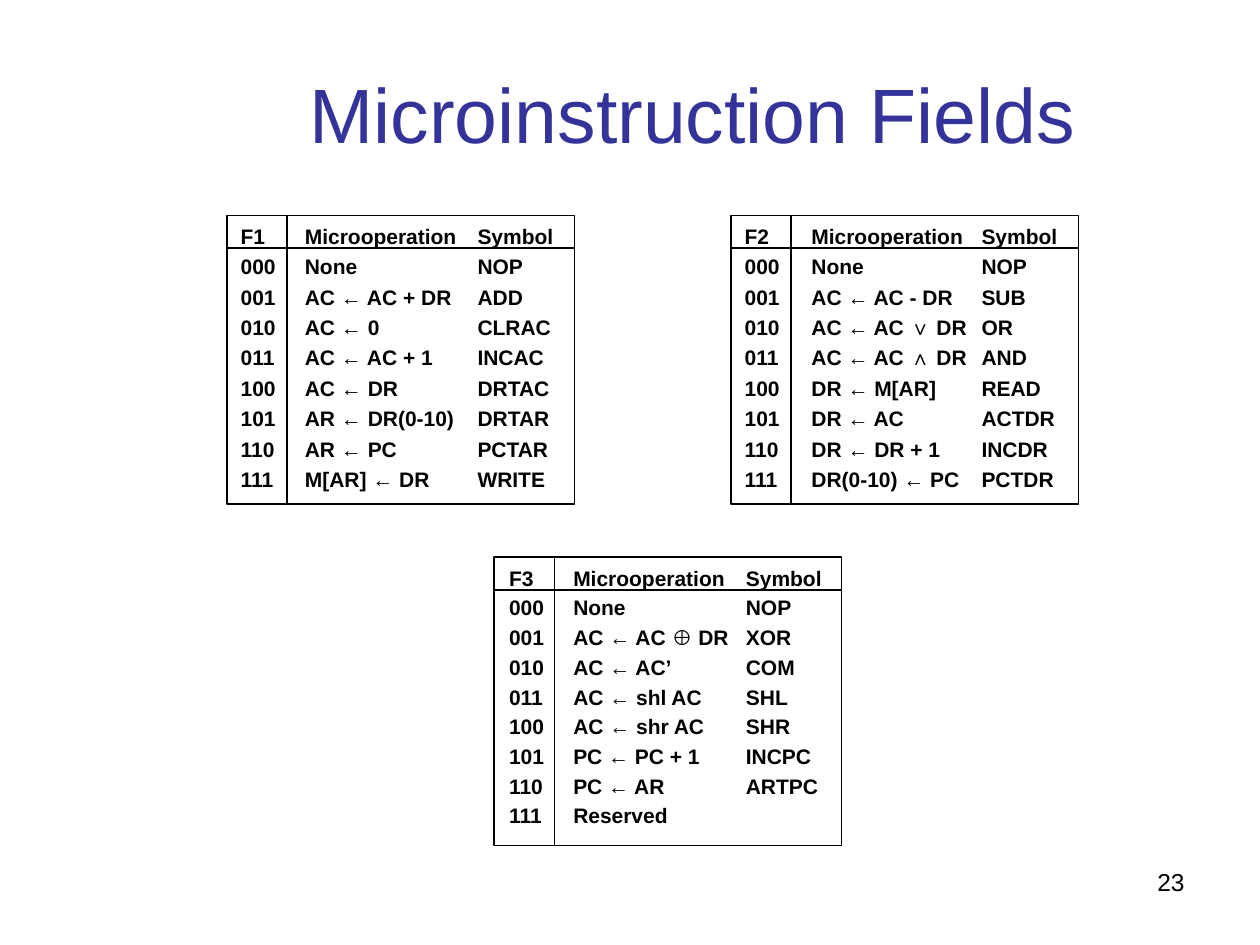
from lxml import etree
from pptx import Presentation
from pptx.dml.color import RGBColor
from pptx.enum.shapes import MSO_CONNECTOR, MSO_SHAPE
from pptx.enum.text import MSO_ANCHOR, PP_ALIGN
from pptx.oxml.ns import qn
from pptx.util import Inches, Pt

LEFT, CENTER, RIGHT = PP_ALIGN.LEFT, PP_ALIGN.CENTER, PP_ALIGN.RIGHT
TOP, MIDDLE = MSO_ANCHOR.TOP, MSO_ANCHOR.MIDDLE
RECTANGLE, STRAIGHT = MSO_SHAPE.RECTANGLE, MSO_CONNECTOR.STRAIGHT

TITLE = "Microinstruction Fields"
PAGE_NUMBER = "23"
BLACK, BLUE = "000000", "333399"

FIELDS = [
    {
        "name": "F1", "left": 1.8, "top": 1.71, "text_at": (1.84, 1.7, 3, 2.23),
        "tabs": (0.51, 1.88), "spacing": 1.21,
        "operations": [
            ("None", "NOP"), ("AC ← AC + DR", "ADD"), ("AC ← 0", "CLRAC"),
            ("AC ← AC + 1", "INCAC"), ("AC ← DR", "DRTAC"),
            ("AR ← DR(0-10)", "DRTAR"), ("AR ← PC", "PCTAR"),
            ("M[AR] ← DR", "WRITE"),
        ],
    },
    {
        "name": "F2", "left": 5.8, "top": 1.71, "text_at": (5.84, 1.7, 3.94, 2.23),
        "tabs": (0.53, 1.88), "spacing": 1.21,
        "operations": [
            ("None", "NOP"), ("AC ← AC - DR", "SUB"), ("AC ← AC ∨ DR", "OR"),
            ("AC ← AC ∧ DR", "AND"), ("DR ← M[AR]", "READ"),
            ("DR ← AC", "ACTDR"), ("DR ← DR + 1", "INCDR"),
            ("DR(0-10) ← PC", "PCTDR"),
        ],
    },
    {
        "name": "F3", "left": 3.92, "top": 4.42, "text_at": (3.97, 4.42, 4.44, 2.18),
        "tabs": (0.51, 1.88), "spacing": 1.18,
        "operations": [
            ("None", "NOP"), ("AC ← AC ⊕ DR", "XOR"), ("AC ← AC’", "COM"),
            ("AC ← shl AC", "SHL"), ("AC ← shr AC", "SHR"),
            ("PC ← PC + 1", "INCPC"), ("PC ← AR", "ARTPC"), ("Reserved",),
        ],
    },
]

FRAME_WIDTH, FRAME_HEIGHT = 2.76, 2.29
HEADER_HEIGHT, CODE_WIDTH = 0.26, 0.48


def color(value):
    return RGBColor.from_string(value)


def add_text(shapes, lines, box, *, size, fill=BLACK, bold=False, align=LEFT,
             anchor=TOP, insets=(0.1, 0.05), spacing=None, tabs=()):
    shape = shapes.add_textbox(*map(Inches, box))
    frame = shape.text_frame
    frame.word_wrap = True
    frame.vertical_anchor = anchor
    frame.margin_left = frame.margin_right = Inches(insets[0])
    frame.margin_top = frame.margin_bottom = Inches(insets[1])
    frame.text = "\n".join(lines)
    for paragraph in frame.paragraphs:
        paragraph.alignment = align
        if spacing:
            paragraph.line_spacing = spacing
        if tabs:
            tab_list = etree.SubElement(paragraph._p.get_or_add_pPr(), qn("a:tabLst"))
            for position in tabs:
                etree.SubElement(tab_list, qn("a:tab"), pos=str(Inches(position)), algn="l")
        for run in paragraph.runs:
            run.font.name = "Arial"
            run.font.size = Pt(size)
            run.font.bold = bold
            run.font.color.rgb = color(fill)


def style_line(shape):
    shape.line.color.rgb = color(BLACK)
    shape.line.width = Pt(1)


def add_line(shapes, *ends):
    line = shapes.add_connector(STRAIGHT, *map(Inches, ends))
    style_line(line)
    etree.SubElement(line._element.spPr, qn("a:effectLst"))


def add_field(slide, field):
    shapes = slide.shapes.add_group_shape().shapes
    left, top = field["left"], field["top"]
    right, bottom = left + FRAME_WIDTH, top + FRAME_HEIGHT
    rows = [(field["name"], "Microoperation", "Symbol")]
    rows += [(f"{code:03b}", *operation) for code, operation in enumerate(field["operations"])]
    add_text(shapes, ["\t".join(row) for row in rows], field["text_at"], size=12,
             bold=True, insets=(0.07, 0.03), spacing=field["spacing"], tabs=field["tabs"])
    frame = shapes.add_shape(RECTANGLE, *map(Inches, (left, top, FRAME_WIDTH, FRAME_HEIGHT)))
    frame.shadow.inherit = False
    frame.fill.background()
    style_line(frame)
    add_line(shapes, left, top + HEADER_HEIGHT, right, top + HEADER_HEIGHT)
    add_line(shapes, left + CODE_WIDTH, top, left + CODE_WIDTH, bottom)


def main():
    presentation = Presentation()
    presentation.slide_width, presentation.slide_height = Inches(10), Inches(7.5)
    slide = presentation.slides.add_slide(presentation.slide_layouts[6])
    add_text(slide.shapes, [PAGE_NUMBER], (7.17, 6.83, 2.33, 0.52), size=14, align=RIGHT)
    add_text(slide.shapes, [TITLE], (1.25, 0.27, 8.5, 1.25), size=44, fill=BLUE,
             align=CENTER, anchor=MIDDLE)
    for field in FIELDS:
        add_field(slide, field)
    presentation.save("out.pptx")


if __name__ == "__main__":
    main()
